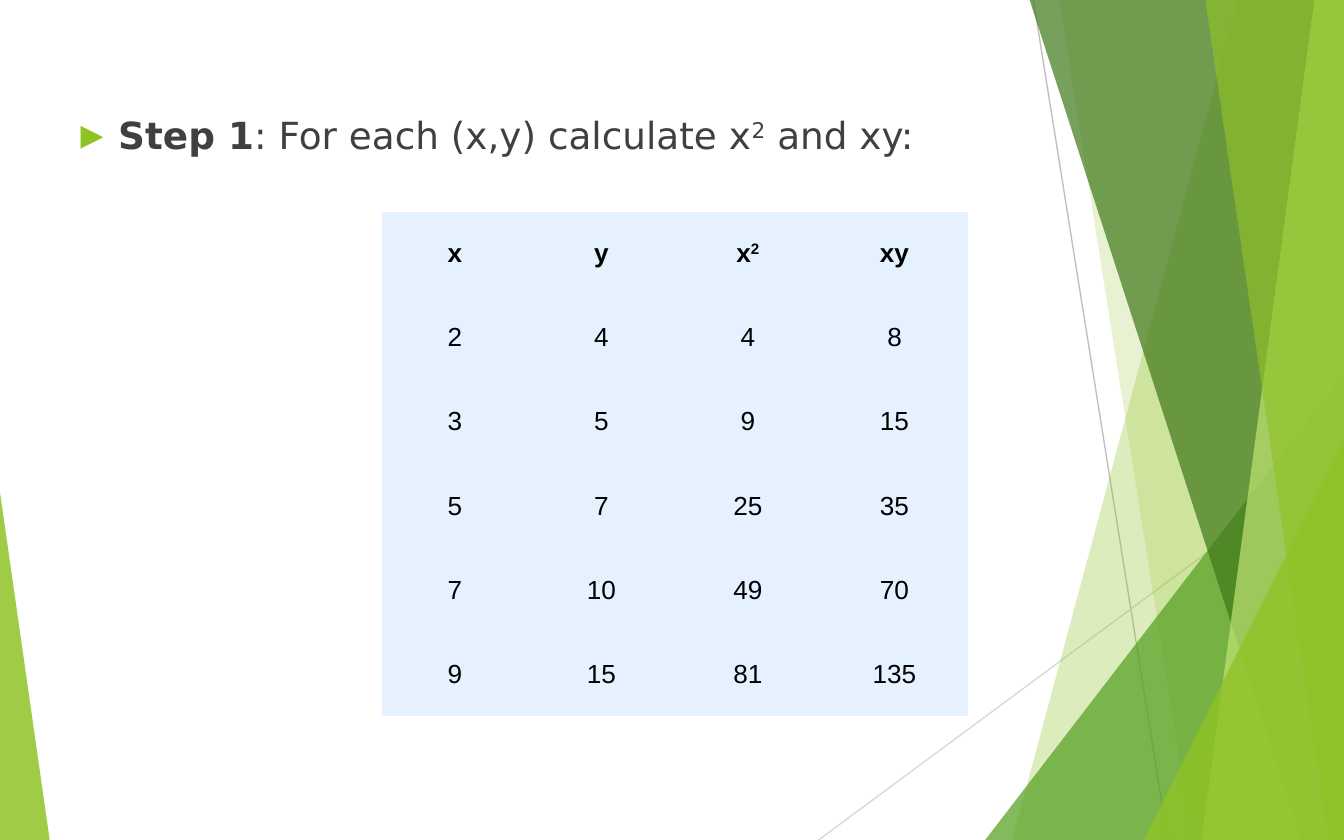
from dataclasses import dataclass

from lxml import etree
from pptx import Presentation
from pptx.dml.color import RGBColor
from pptx.enum.shapes import MSO_CONNECTOR, MSO_SHAPE
from pptx.enum.text import MSO_ANCHOR, MSO_AUTO_SIZE, PP_ALIGN
from pptx.oxml.ns import qn
from pptx.util import Cm, Pt

STRAIGHT = MSO_CONNECTOR.STRAIGHT
TRIANGLE = MSO_SHAPE.ISOSCELES_TRIANGLE
CENTER = PP_ALIGN.CENTER
TOP, MIDDLE = MSO_ANCHOR.TOP, MSO_ANCHOR.MIDDLE
NO_FIT = MSO_AUTO_SIZE.NONE
PLAIN_GRID = "{2D5ABB26-0587-4C30-8999-92F81FD0307C}"

WIDTH, HEIGHT = 25.4, 15.88


@dataclass(frozen=True)
class Theme:
    lime: str = "90C226"
    green: str = "54A021"
    forest: str = "3F7819"
    pale: str = "C0E474"
    gray: str = "BFBFBF"
    silver: str = "D9D9D9"
    ink: str = "404040"
    black: str = "000000"
    cell: str = "E5F1FF"
    body_font: str = "DejaVu Sans"
    table_font: str = "Arial"
    body_size: int = 20
    table_size: int = 14


HEADS = ["x", "y", "x^2^", "xy"]
POINTS = [(2, 4), (3, 5), (5, 7), (7, 10), (9, 15)]


def write(par, text, font, size, color, bold=False):
    """Add text to a paragraph; parts between ^ marks are superscript."""
    for pos, part in enumerate(text.split("^")):
        if not part:
            continue
        run = par.add_run()
        run.text = part
        run.font.name = font
        run.font.size = Pt(size)
        run.font.bold = bold
        run.font.color.rgb = RGBColor.from_string(color)
        if pos % 2:
            run._r.get_or_add_rPr().set("baseline", "30000")


def add_bullet(par, char, color, font, indent):
    """Give a paragraph a hanging bullet at 80% of the text size."""
    props = par._p.get_or_add_pPr()
    props.set("marL", str(indent))
    props.set("indent", str(-indent))
    tint = etree.SubElement(props, qn("a:buClr"))
    etree.SubElement(tint, qn("a:srgbClr"), val=color)
    etree.SubElement(props, qn("a:buSzPct"), val="80000")
    etree.SubElement(props, qn("a:buFont"), typeface=font)
    etree.SubElement(props, qn("a:buChar"), char=char)


class Deck:
    def __init__(self, theme):
        self.theme = theme
        self.file = Presentation()
        self.file.slide_width = Cm(WIDTH)
        self.file.slide_height = Cm(HEIGHT)
        self.slide = self.file.slides.add_slide(self.file.slide_layouts[1])
        title = self.slide.shapes.title._element
        title.getparent().remove(title)

    def paint(self, shape, color, alpha):
        """Fill a shape with a see-through colour; alpha is in percent."""
        shape.shadow.inherit = False
        shape.fill.solid()
        shape.fill.fore_color.rgb = RGBColor.from_string(color)
        tint = shape._element.spPr.find(qn("a:solidFill"))[0]
        etree.SubElement(tint, qn("a:alpha"), val=str(alpha * 1000))
        shape.line.fill.background()

    def line(self, x1, y1, x2, y2, color):
        ends = [Cm(v) for v in (x1, y1, x2, y2)]
        line = self.slide.shapes.add_connector(STRAIGHT, *ends)
        line.line.color.rgb = RGBColor.from_string(color)
        line.line.width = Pt(0.75)
        etree.SubElement(line._element.spPr, qn("a:effectLst"))

    def band(self, head, foot, color, alpha):
        """Draw a full-height band from a slanted left edge to the slide's right edge."""
        form = self.slide.shapes.build_freeform(Cm(head), 0)
        corners = [(WIDTH, 0), (WIDTH, HEIGHT), (foot, HEIGHT)]
        form.add_line_segments([(Cm(x), Cm(y)) for x, y in corners])
        self.paint(form.convert_to_shape(), color, alpha)

    def wedge(self, left, top, width, tip, color, alpha):
        """Draw a triangle standing on the slide's bottom edge; tip is 0 left, 1 right."""
        shape = self.slide.shapes.add_shape(
            TRIANGLE, Cm(left), Cm(top), Cm(width), Cm(HEIGHT - top))
        shape.adjustments[0] = tip
        self.paint(shape, color, alpha)

    def body(self, parts, left, top, width, height):
        """Fill the body placeholder with one bullet of (text, bold) parts."""
        look = self.theme
        box = self.slide.placeholders[1]
        box.left, box.top = Cm(left), Cm(top)
        box.width, box.height = Cm(width), Cm(height)
        frame = box.text_frame
        frame.word_wrap = True
        frame.auto_size = NO_FIT
        frame.vertical_anchor = TOP
        par = frame.paragraphs[0]
        add_bullet(par, "▶", look.lime, look.body_font, Cm(0.71))
        par.space_before = Pt(0)
        for text, bold in parts:
            write(par, text, look.body_font, look.body_size, look.ink, bold)

    def table(self, rows, left, top, col, row):
        look = self.theme
        count = len(rows[0])
        grid = self.slide.shapes.add_table(
            len(rows), count, Cm(left), Cm(top),
            Cm(col * count), Cm(row * len(rows))).table
        grid.horz_banding = False
        grid._tbl.tblPr.find(qn("a:tableStyleId")).text = PLAIN_GRID
        for i, values in enumerate(rows):
            for j, value in enumerate(values):
                cell = grid.cell(i, j)
                cell.fill.solid()
                cell.fill.fore_color.rgb = RGBColor.from_string(look.cell)
                cell.vertical_anchor = MIDDLE
                cell.margin_left = cell.margin_right = Cm(0.13)
                cell.margin_top = cell.margin_bottom = Cm(0.13)
                par = cell.text_frame.paragraphs[0]
                par.alignment = CENTER
                write(par, str(value), look.table_font, look.table_size,
                      look.black, bold=i == 0)


def main():
    look = Theme()
    deck = Deck(look)

    deck.line(19.53, 0, 22.07, HEIGHT, look.gray)
    deck.line(WIDTH, 8.53, 15.47, HEIGHT, look.silver)
    deck.band(23.39, 19.13, look.lime, 30)
    deck.band(20.02, 22.53, look.lime, 20)
    deck.wedge(18.62, 7.06, 6.78, 1, look.green, 72)
    deck.band(19.46, 24.59, look.forest, 70)
    deck.band(24.84, 22.71, look.pale, 70)
    deck.band(22.78, 25.1, look.lime, 65)
    deck.wedge(21.62, 8.31, 3.78, 1, look.lime, 80)
    deck.wedge(0, 9.3, 0.94, 0, look.lime, 85)

    deck.body([("Step 1", True),
               (": For each (x,y) calculate x^2^ and xy:", False)],
              1.27, 2, 22.86, 12.17)
    rows = [HEADS] + [(x, y, x * x, x * y) for x, y in POINTS]
    deck.table(rows, 7.21, 4, 2.77, 1.59)

    deck.file.save("out.pptx")


if __name__ == "__main__":
    main()
